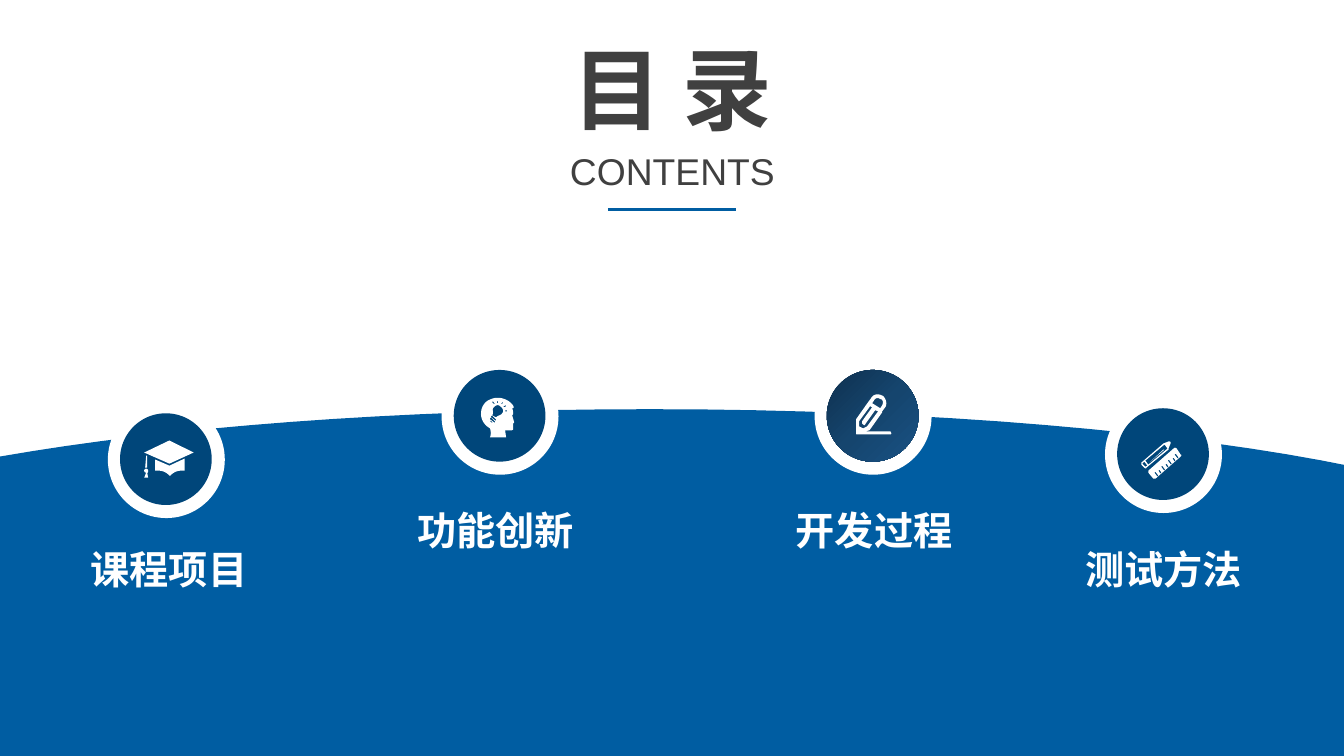
from copy import deepcopy
from dataclasses import dataclass

from lxml.etree import SubElement
from pptx import Presentation
from pptx.dml.color import RGBColor as RGB
from pptx.enum.shapes import MSO_CONNECTOR as CONNECTOR
from pptx.enum.shapes import MSO_SHAPE as SHAPE
from pptx.enum.text import MSO_AUTO_SIZE as AUTO_SIZE
from pptx.enum.text import PP_ALIGN as ALIGN
from pptx.oxml.ns import qn
from pptx.util import Emu, Pt

EMU_PER_PX = 9144
CURVE_STEPS = 16


@dataclass(frozen=True)
class Theme:
    blue: str = "005DA2"
    navy: str = "00467A"
    white: str = "FFFFFF"
    ink: str = "404040"
    gradient: tuple = ("0F304E", "15456E", "195183")
    cjk: str = "Noto Sans CJK SC"
    latin: str = "Arial"
    title: float = 64
    subtitle: float = 26.6
    label: float = 28
    rule: float = 2.25


THEME = Theme()

HILL = [
    [(645, 406), (391, 406, 164, 424, 0, 453), (-3, 770), (1342, 766),
     (1342, 463), (1178, 429, 926, 406, 645, 406)],
]

CAP = [
    [(11, 30), (15, 30), (19, 30, 24, 33, 25, 35), (26, 35),
     (27, 33, 32, 30, 36, 30), (40, 30), (40, 18), (25, 25), (11, 19)],
    [(25, 0), (0, 12), (25, 23), (49, 12)],
    [(2, 15), (1, 27), (3, 27), (3, 15)],
    [(4, 37), (3, 32), (4, 32, 4, 31, 4, 30), (4, 29, 3, 28, 2, 28),
     (1, 28, 0, 29, 0, 30), (0, 31, 1, 32, 2, 32), (0, 37)],
]

HEAD = [
    [(14, 41), (15, 38, 15, 35, 14, 32), (0, 24, 4, 6, 15, 3),
     (21, 0, 30, 2, 35, 7), (39, 11, 37, 12, 37, 12), (36, 12),
     (37, 14, 37, 18, 37, 18), (36, 19), (38, 26), (37, 27),
     (37, 29, 37, 31, 37, 33), (37, 33, 36, 34, 35, 34), (29, 34), (30, 41)],
    [(19, 25), (15, 21), (14, 22), (14, 23), (18, 26), (19, 26)],
    [(20, 23), (16, 19), (15, 20), (15, 21), (19, 24), (20, 24)],
    [(29, 15), (31, 15), (31, 14), (29, 14)],
    [(19, 8), (17, 5), (16, 6), (18, 8)],
    [(22, 7), (22, 5), (21, 5), (21, 7)],
    [(28, 11), (30, 10), (30, 9), (27, 10)],
    [(26, 8), (27, 6), (26, 6), (25, 8)],
    [(24, 10), (22, 8, 19, 9, 17, 12), (16, 14, 18, 17, 16, 19), (20, 21),
     (22, 19, 25, 19, 26, 17), (28, 15, 27, 12, 24, 10)],
    [(14, 24), (14, 24, 14, 25, 15, 26), (17, 26)],
]

LONG_TICKS = [
    [(x, y), (x - 3, y - 4), (x - 4, y - 3), (x - 1, y + 1)]
    for x, y in ((17 + 20 * i / 3, 34 - 6 * i) for i in range(4))
]
SHORT_TICKS = [
    [(x, y), (x - 2, y - 3), (x - 3, y - 2), (x - 1, y + 1)]
    for x, y in ((20 + 7 * i, 31 - 6 * i) for i in range(3))
]
TOOLS = [
    [(9, 20), (22, 8), (23, 8)],
    [(6, 24), (3, 20), (1, 22), (4, 25)],
    [(26, 7), (23, 3), (4, 19), (7, 23)],
    [(3, 26), (0, 23), (0, 22, 0, 21, 0, 21), (22, 2), (27, 0),
     (28, 0, 29, 0, 29, 1), (29, 2), (27, 7), (27, 8), (5, 26),
     (5, 27, 4, 27, 3, 26)],
    [(12, 37), (7, 31), (7, 30, 7, 29, 7, 29), (32, 7),
     (33, 6, 34, 6, 35, 7), (39, 13), (40, 13, 40, 14, 39, 15), (14, 37)],
    *LONG_TICKS,
    *SHORT_TICKS,
]

CLIP = [
    [(34, 38), (9, 38), (13, 37), (14, 36), (26, 19), (26, 18), (29, 14),
     (31, 11, 30, 6, 27, 3), (22, 0, 17, 1, 15, 5), (12, 9), (0, 26),
     (0, 27), (0, 40), (0, 41, 1, 41, 1, 41), (34, 41),
     (34, 41, 35, 41, 35, 40), (35, 39, 34, 38, 34, 38)],
    [(18, 7), (19, 5, 22, 4, 24, 6), (25, 6), (27, 7, 27, 10, 26, 12),
     (24, 15), (16, 10)],
    [(3, 33), (3, 28), (14, 13), (16, 14), (6, 28), (6, 29, 6, 31, 7, 31),
     (8, 32, 9, 32, 9, 31), (19, 17), (22, 18), (11, 33), (7, 35)],
]


def px(n):
    return Emu(round(n * EMU_PER_PX))


def flatten(contour):
    points = [contour[0]]
    for step in contour[1:]:
        if len(step) == 2:
            points.append(step)
            continue
        ax, ay = points[-1]
        bx, by, cx, cy, dx, dy = step
        for i in range(1, CURVE_STEPS + 1):
            t = i / CURVE_STEPS
            u = 1 - t
            k = (u ** 3, 3 * u * u * t, 3 * u * t * t, t ** 3)
            points.append((k[0] * ax + k[1] * bx + k[2] * cx + k[3] * dx,
                           k[0] * ay + k[1] * by + k[2] * cy + k[3] * dy))
    return points


def paint(sp, color):
    sp.shadow.inherit = False
    sp.line.fill.background()
    sp.fill.solid()
    sp.fill.fore_color.rgb = RGB.from_string(color)


def paint_gradient(sp, colors):
    sp.fill.gradient()
    sp.fill.gradient_angle = 315
    first = sp.fill.gradient_stops[0]
    stops = sp.element.spPr.find(qn("a:gradFill")).find(qn("a:gsLst"))
    stops.insert(1, deepcopy(stops[0]))
    for i, (stop, color) in enumerate(zip(sp.fill.gradient_stops, colors)):
        stop.color.rgb = RGB.from_string(color)
        stop.position = i / (len(colors) - 1)


def add_outline(shapes, contours, color, x=0, y=0):
    fb = None
    for contour in contours:
        start, *rest = [(px(x + a), px(y + b)) for a, b in flatten(contour)]
        if fb is None:
            fb = shapes.build_freeform(*start, scale=1.0)
        else:
            fb.move_to(*start)
        fb.add_line_segments(rest, close=True)
    paint(fb.convert_to_shape(), color)


def add_disc(shapes, x, y, size, color):
    sp = shapes.add_shape(SHAPE.OVAL, px(x), px(y), px(size), px(size))
    paint(sp, color)
    return sp


def add_badge(shapes, x, y, icon, icon_x, icon_y, gradient=None):
    group = shapes.add_group_shape().shapes
    add_disc(group, x, y, 116, THEME.white)
    disc = add_disc(group, x + 12, y + 12, 91, THEME.navy)
    if gradient:
        paint_gradient(disc, gradient)
    add_outline(group, icon, THEME.white, icon_x, icon_y)


def add_text(shapes, text, x, y, w, h, *, size, color, font, bold=False,
             align=ALIGN.CENTER):
    tf = shapes.add_textbox(px(x), px(y), px(w), px(h)).text_frame
    tf.word_wrap = False
    tf.auto_size = AUTO_SIZE.SHAPE_TO_FIT_TEXT
    p = tf.paragraphs[0]
    p.alignment = align
    r = p.add_run()
    r.text = text
    r.font.name = font
    r.font.size = Pt(size)
    r.font.bold = bold
    r.font.color.rgb = RGB.from_string(color)
    SubElement(r.font._element, qn("a:ea")).set("typeface", font)


def add_rule(shapes, x1, x2, y):
    line = shapes.add_connector(CONNECTOR.STRAIGHT, px(x1), px(y), px(x2), px(y))
    line.line.color.rgb = RGB.from_string(THEME.blue)
    line.line.width = Pt(THEME.rule)
    SubElement(line.element.spPr, qn("a:effectLst"))


def main():
    prs = Presentation()
    prs.slide_width, prs.slide_height = px(1333), px(750)
    shapes = prs.slides.add_slide(prs.slide_layouts[6]).shapes

    add_outline(shapes, HILL, THEME.blue)

    add_badge(shapes, 107, 398, CAP, 143, 437)
    add_badge(shapes, 438, 355, HEAD, 472, 393)
    add_badge(shapes, 1096, 393, TOOLS, 1132, 438)
    add_badge(shapes, 808, 355, CLIP, 849, 390, gradient=THEME.gradient)

    for text, x, y, align in (
        ("课程项目", 80, 536, ALIGN.LEFT),
        ("功能创新", 404, 497, ALIGN.LEFT),
        ("开发过程", 779, 497, ALIGN.CENTER),
        ("测试方法", 1066, 536, ALIGN.CENTER),
    ):
        add_text(shapes, text, x, y, 176, 57, size=THEME.label,
                 color=THEME.white, font=THEME.cjk, bold=True, align=align)

    add_text(shapes, "目 录", 553, 29, 227, 118, size=THEME.title,
             color=THEME.ink, font=THEME.cjk, bold=True)
    add_text(shapes, "CONTENTS", 554, 142, 226, 55, size=THEME.subtitle,
             color=THEME.ink, font=THEME.latin)
    add_rule(shapes, 603, 730, 208)

    prs.save("out.pptx")


if __name__ == "__main__":
    main()
